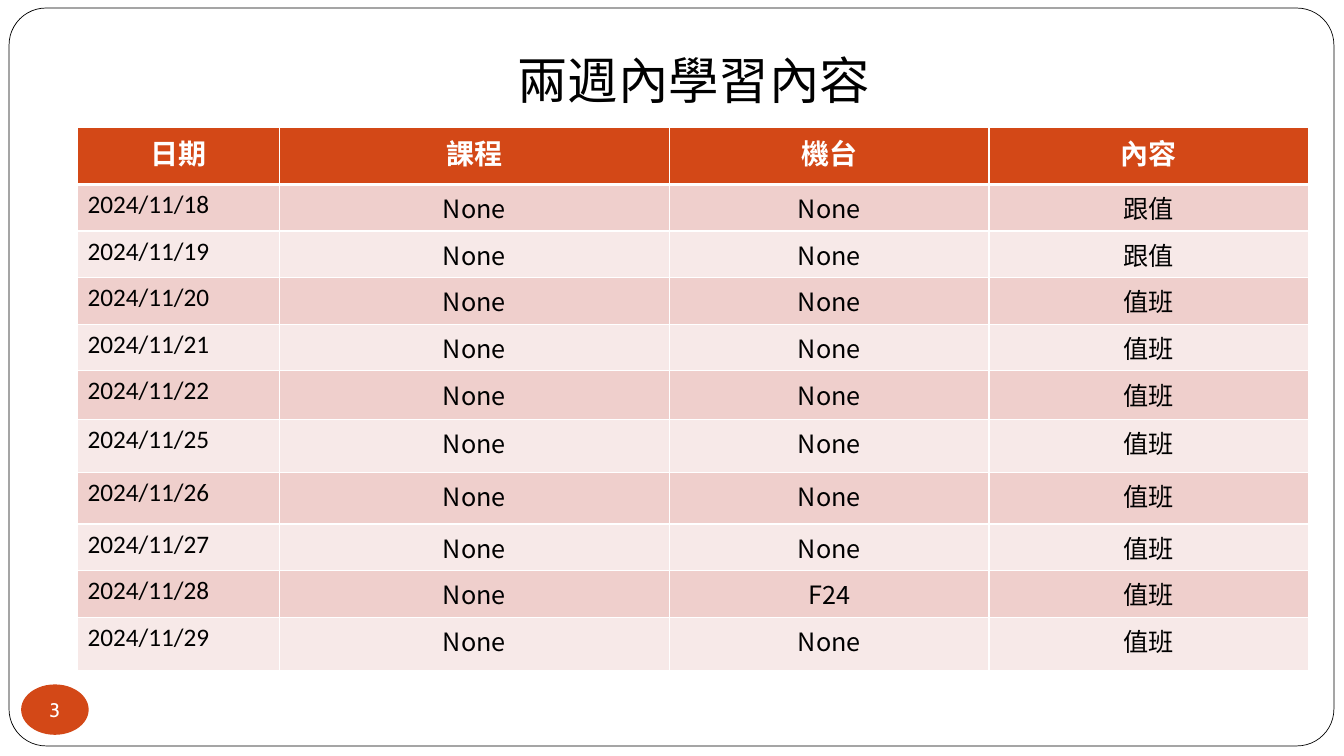
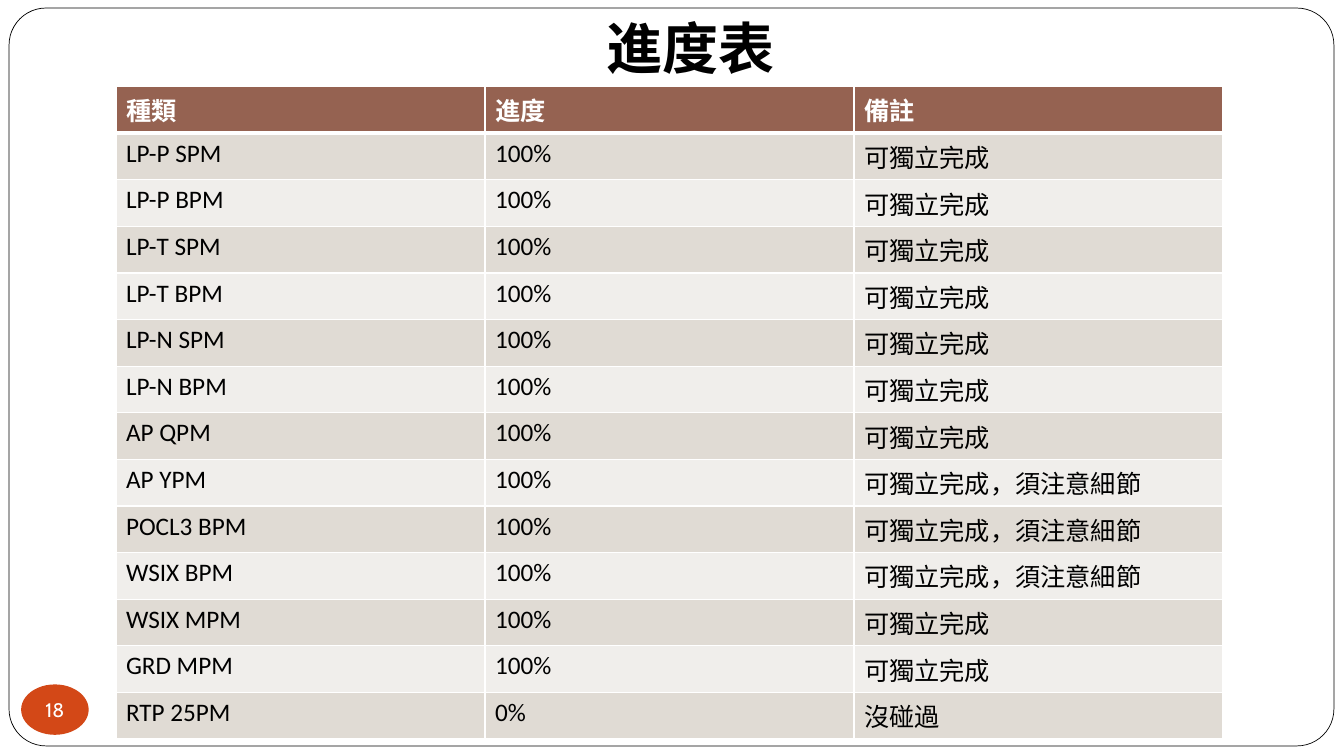
import pptx
import pptx.dml.color
import pptx.enum.shapes
import pptx.enum.text
import pptx.oxml
import pptx.oxml.ns
import pptx.util

Inches, Pt = pptx.util.Inches, pptx.util.Pt
SHAPE = pptx.enum.shapes.MSO_SHAPE
ANCHOR = pptx.enum.text.MSO_ANCHOR
CENTER, LEFT = pptx.enum.text.PP_ALIGN.CENTER, pptx.enum.text.PP_ALIGN.LEFT

WHITE, BLACK, ORANGE = "FFFFFF", "000000", "D34817"
CALIBRI, NOTO, CABIN = "Calibri", "Noto Sans CJK SC", "Cabin"

DUTIES = [("11/18", "None", "跟值"), ("11/19", "None", "跟值"),
          ("11/20", "None", "值班"), ("11/21", "None", "值班"),
          ("11/22", "None", "值班"), ("11/25", "None", "值班"),
          ("11/26", "None", "值班"), ("11/27", "None", "值班"),
          ("11/28", "F24", "值班"), ("11/29", "None", "值班")]
DONE = "可獨立完成"
CAREFUL = DONE + "，須注意細節"
PROGRESS = [("LP-P SPM", DONE), ("LP-P BPM", DONE), ("LP-T SPM", DONE),
            ("LP-T BPM", DONE), ("LP-N SPM", DONE), ("LP-N BPM", DONE),
            ("AP QPM", DONE), ("AP YPM", CAREFUL), ("POCL3 BPM", CAREFUL),
            ("WSIX BPM", CAREFUL), ("WSIX MPM", DONE), ("GRD MPM", DONE)]

SLIDES = [
    {"number": "3",
     "title": "兩週內學習內容", "title_at": (1.98, 0.44, 9.8, 0.71),
     "title_format": {"size": Pt(36), "bold": False},
     "table_at": (0.77, 1.26),
     "columns": [2, 3.87, 3.17, 3.17],
     "row_heights": [0.57] + [0.46] * 4 + [0.48, 0.53, 0.51, 0.46, 0.46, 0.53],
     "header": ["日期", "課程", "機台", "內容"],
     "header_size": 20, "header_align": CENTER,
     "body_fonts": [CALIBRI, NOTO, NOTO, NOTO],
     "body_aligns": [LEFT, CENTER, CENTER, CENTER],
     "header_fill": ORANGE, "bands": ("EFCFCC", "F7E9E8"),
     "rows": [("2024/" + day, "None", machine, duty)
              for day, machine, duty in DUTIES]},
    {"number": "18",
     "title": "進度表", "title_at": (2.57, 0.08, 8.55, 0.77),
     "title_format": {"size": Pt(40), "bold": True},
     "table_at": (1.15, 0.86),
     "columns": [3.66] * 3,
     "row_heights": [0.46] * 14,
     "header": ["種類", "進度", "備註"],
     "header_size": 18, "header_align": LEFT,
     "body_fonts": [CALIBRI, CALIBRI, NOTO],
     "body_aligns": [LEFT] * 3,
     "header_fill": "956251", "bands": ("E0DBD4", "F0EEEB"),
     "rows": [(kind, "100%", remark) for kind, remark in PROGRESS]
             + [("RTP 25PM", "0%", "沒碰過")]},
]


def rgb(hex_colour):
    return pptx.dml.color.RGBColor.from_string(hex_colour)


def write(frame, text, colour, align, **font_format):
    paragraph = frame.paragraphs[0]
    paragraph.alignment = align
    run = paragraph.add_run()
    run.text = text
    for attribute, value in font_format.items():
        setattr(run.font, attribute, value)
    run.font.color.rgb = rgb(colour)
    east_asian = pptx.oxml.parse_xml(
        f'<a:ea {pptx.oxml.ns.nsdecls("a")} typeface="{NOTO}"/>')
    run.font._element.find(pptx.oxml.ns.qn("a:latin")).addnext(east_asian)


def add_plain_shape(slide, kind, at, fill):
    shape = slide.shapes.add_shape(kind, *map(Inches, at))
    shape.shadow.inherit = False
    shape.fill.solid()
    shape.fill.fore_color.rgb = rgb(fill)
    return shape


def add_frame_to_layout(slide):
    """Draw the rounded page frame, then move it behind the layout's parts."""
    frame = add_plain_shape(slide, SHAPE.ROUNDED_RECTANGLE,
                            (0.09, 0.08, 13.14, 7.32), WHITE)
    frame.adjustments[0] = 0.05
    frame.line.color.rgb = rgb(BLACK)
    frame.line.width = Pt(0.5)
    slide.slide_layout.shapes.element.insert(2, frame.element)


def add_page_number(slide, number):
    badge = add_plain_shape(slide, SHAPE.OVAL, (0.21, 6.79, 0.67, 0.5), ORANGE)
    badge.line.fill.background()
    frame = badge.text_frame
    layout = {"margin_left": 0, "margin_right": 0, "margin_top": 0,
              "margin_bottom": 0, "word_wrap": False,
              "vertical_anchor": ANCHOR.MIDDLE}
    for attribute, value in layout.items():
        setattr(frame, attribute, value)
    write(frame, number, WHITE, CENTER, name=CABIN, size=Pt(14))


def set_title(slide, content):
    title = slide.shapes.title
    for attribute, value in zip(("left", "top", "width", "height"),
                                content["title_at"]):
        setattr(title, attribute, Inches(value))
    frame = title.text_frame
    frame.word_wrap = True
    frame.auto_size = pptx.enum.text.MSO_AUTO_SIZE.NONE
    frame.vertical_anchor = ANCHOR.TOP
    write(frame, content["title"], BLACK, CENTER, name=NOTO,
          **content["title_format"])


def style_cell(cell, fill, top, bottom):
    """Give a cell white borders (top and bottom in points) and a fill."""
    properties = cell._tc.get_or_add_tcPr()
    for side, points in zip("LRTB", (1, 1, top, bottom)):
        properties.append(pptx.oxml.parse_xml(
            f'<a:ln{side} {pptx.oxml.ns.nsdecls("a")} w="{Pt(points)}">'
            f'<a:solidFill><a:srgbClr val="{WHITE}"/></a:solidFill>'
            f'</a:ln{side}>'))
    cell.fill.solid()
    cell.fill.fore_color.rgb = rgb(fill)


def add_schedule(slide, content):
    columns, heights = content["columns"], content["row_heights"]
    size = (sum(columns), sum(heights))
    table = slide.shapes.add_table(
        len(heights), len(columns),
        *map(Inches, content["table_at"] + size)).table
    for column, width in zip(table.columns, columns):
        column.width = Inches(width)
    for row, height in zip(table.rows, heights):
        row.height = Inches(height)

    for c, label in enumerate(content["header"]):
        cell = table.cell(0, c)
        style_cell(cell, content["header_fill"], 1, 3)
        write(cell.text_frame, label, WHITE, content["header_align"],
              name=CALIBRI, size=Pt(content["header_size"]), bold=True)
    for r, values in enumerate(content["rows"], start=1):
        for c, value in enumerate(values):
            cell = table.cell(r, c)
            style_cell(cell, content["bands"][(r - 1) % 2],
                       3 if r == 1 else 1, 1)
            write(cell.text_frame, value, BLACK, content["body_aligns"][c],
                  name=content["body_fonts"][c], size=Pt(18), bold=False)


def main():
    deck = pptx.Presentation()
    deck.slide_width, deck.slide_height = Inches(13.33), Inches(7.5)
    title_only = deck.slide_layouts[5]
    for index, content in enumerate(SLIDES):
        slide = deck.slides.add_slide(title_only)
        if index == 0:
            add_frame_to_layout(slide)
        add_page_number(slide, content["number"])
        add_schedule(slide, content)
        set_title(slide, content)
    deck.save("out.pptx")


if __name__ == "__main__":
    main()
